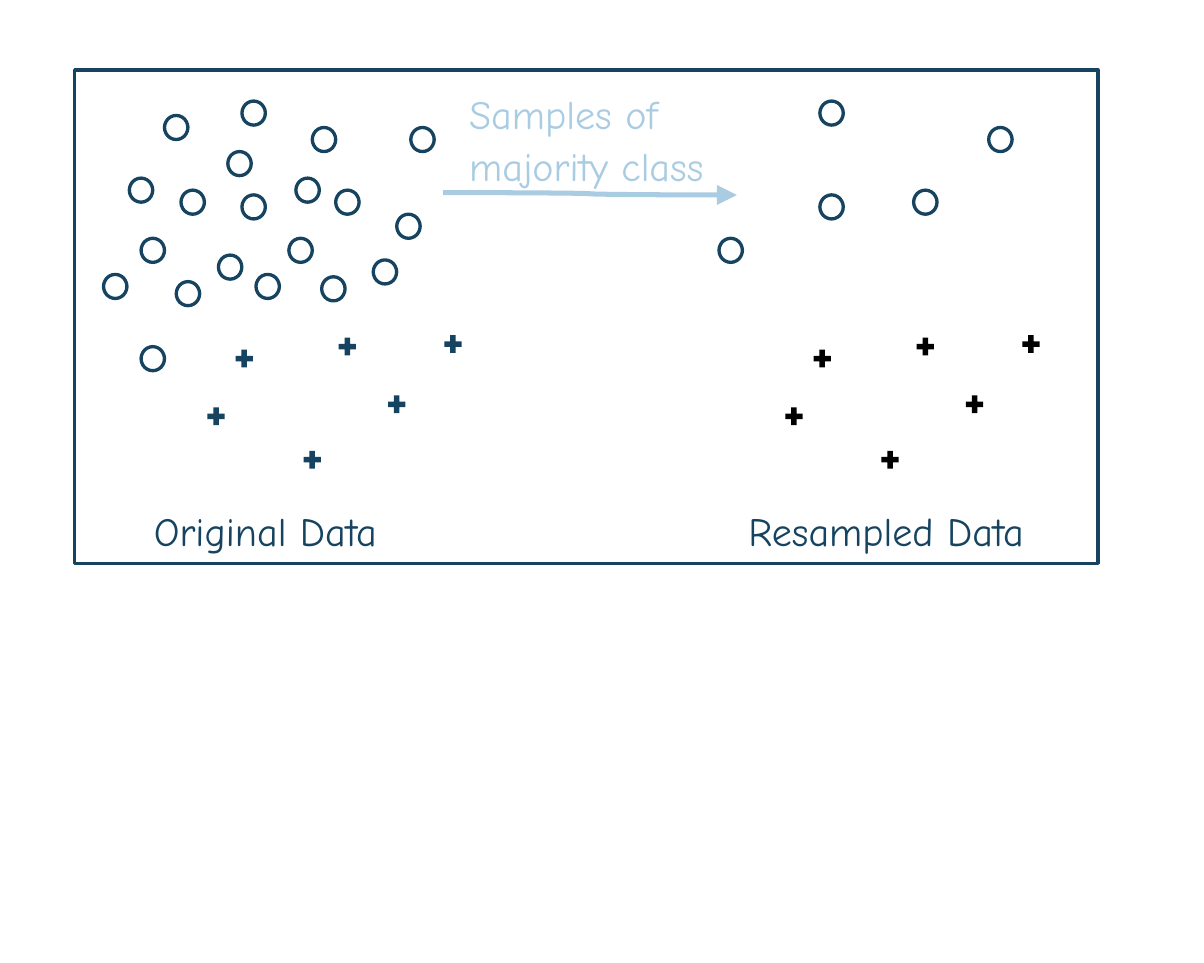
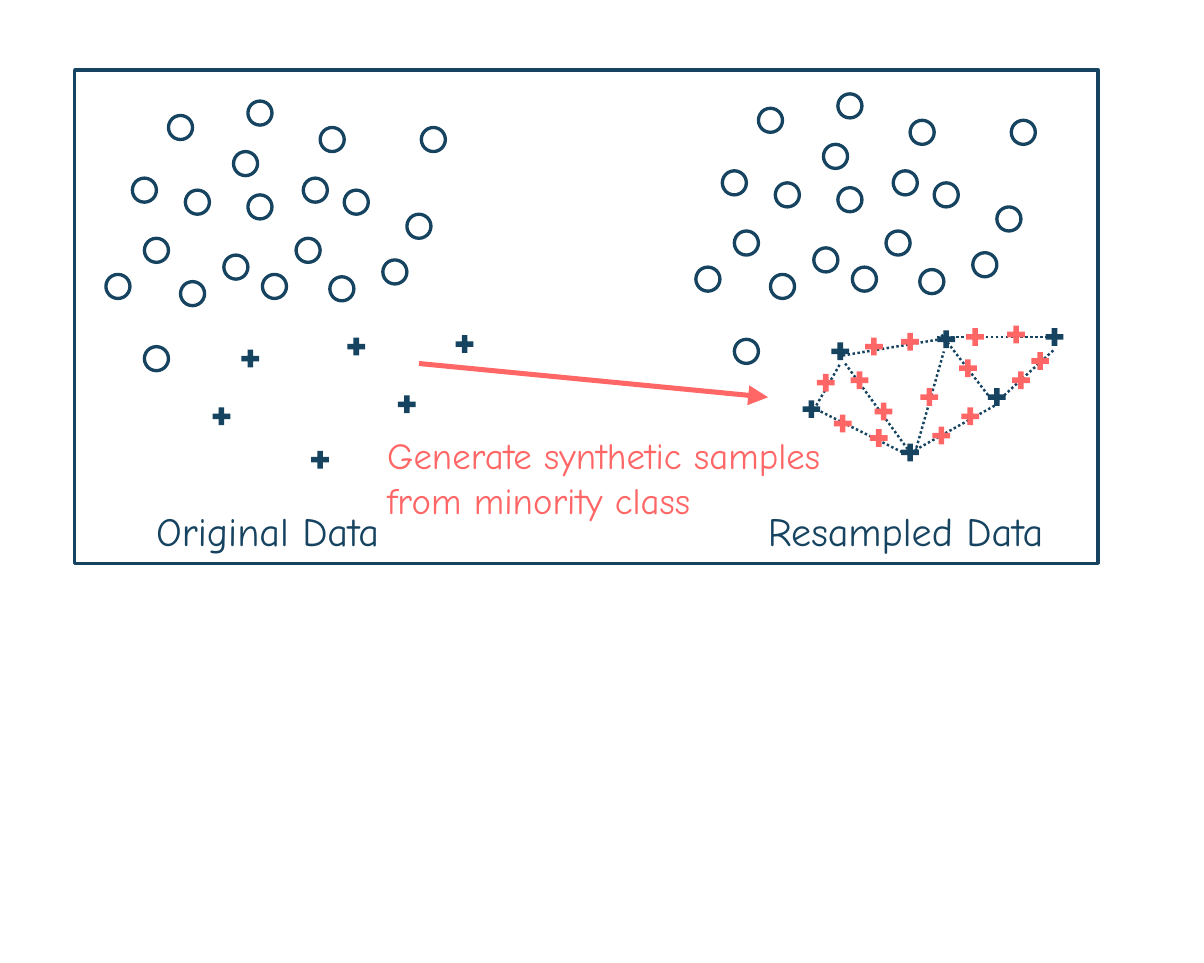
from dataclasses import dataclass

from lxml import etree
from pptx import Presentation, util as u
from pptx.dml.color import RGBColor
from pptx.enum import dml, shapes
from pptx.oxml.ns import qn


@dataclass(frozen=True)
class Theme:
    navy: str = "154360"
    sky: str = "A9CCE3"
    coral: str = "FF6666"
    black: str = "000000"
    font: str = "Comic Neue"
    label: float = 12
    note: float = 11
    lead: float = 1.07
    thin: float = 0.75
    edge: float = 1
    bold: float = 1.5


T = Theme()
GRID = 154
MARK = 10
FRAME = (0.31, 0.29, 4.25, 2.05)
RINGS = [
    (26, 6), (59, 0), (11, 32), (33, 37), (0, 72), (89, 11), (99, 37),
    (49, 64), (131, 11), (82, 32), (59, 39), (16, 57), (79, 57), (125, 47),
    (31, 75), (53, 21), (16, 102), (65, 72), (93, 73), (115, 66),
]
KEPT = [RINGS[i] for i in (1, 6, 8, 10, 11)]
PLUSES = [(55, 102), (43, 126), (120, 121), (144, 96), (84, 144), (99, 97)]
LINKS = [
    (48, 133, 60, 112), (50, 131, 86, 149), (91, 149, 103, 107),
    (59, 109, 101, 102), (102, 100, 122, 126), (62, 112, 89, 149),
    (125, 128, 149, 106), (100, 101, 146, 101), (91, 148, 125, 129),
]
ADDED = [
    (49, 115), (84, 98), (108, 109), (97, 137), (92, 121), (130, 114),
    (69, 100), (111, 96), (109, 129), (71, 138), (63, 114), (73, 127),
    (56, 132), (128, 95), (138, 106),
]


def rgb(tone):
    return RGBColor.from_string(tone)


def inches(vals):
    return [u.Inches(v) for v in vals]


def write(slide, words, box, tone=T.navy, size=T.label, lead=T.lead):
    frame = slide.shapes.add_textbox(*inches(box)).text_frame
    frame.word_wrap = True
    para = frame.paragraphs[0]
    para.line_spacing = lead
    run = para.add_run()
    run.text = words
    run.font.name = T.font
    run.font.size = u.Pt(size)
    run.font.color.rgb = rgb(tone)


def draw(slide, kind, box, fill=None, line=None):
    shape = slide.shapes.add_shape(kind, *inches(box))
    shape.shadow.inherit = False
    if fill:
        shape.fill.solid()
        shape.fill.fore_color.rgb = rgb(fill)
    else:
        shape.fill.background()
    if line:
        shape.line.color.rgb = rgb(line)
        shape.line.width = u.Pt(T.edge)
    else:
        shape.line.fill.background()


def join(slide, ends, tone, width, kind=shapes.MSO_CONNECTOR.STRAIGHT,
         dots=False, head=False):
    link = slide.shapes.add_connector(kind, *inches(ends))
    link.line.color.rgb = rgb(tone)
    link.line.width = u.Pt(width)
    if dots:
        link.line.dash_style = dml.MSO_LINE.ROUND_DOT
    if head:
        etree.SubElement(link.line._get_or_add_ln(), qn("a:tailEnd"),
                         type="triangle")
    etree.SubElement(link._element.spPr, qn("a:effectLst"))


def spot(box, col, row):
    left, top, wide, high = box
    return left + wide * col / GRID, top + high * row / GRID


def marks(slide, box, spots, kind, **look):
    size = (box[2] * MARK / GRID, box[3] * MARK / GRID)
    for col, row in spots:
        draw(slide, kind, spot(box, col, row) + size, **look)


def cloud(slide, box, rings, tone=T.navy):
    marks(slide, box, rings, shapes.MSO_SHAPE.OVAL, line=T.navy)
    marks(slide, box, PLUSES, shapes.MSO_SHAPE.MATH_PLUS, fill=tone)


def web(slide, box):
    for a, b, c, d in LINKS:
        join(slide, spot(box, a, b) + spot(box, c, d), T.navy, T.thin,
             dots=True)
    marks(slide, box, ADDED, shapes.MSO_SHAPE.MATH_PLUS, fill=T.coral)


def panel(slide, first, second):
    draw(slide, shapes.MSO_SHAPE.RECTANGLE, FRAME, line=T.navy)
    for words, left in (("Original Data", first), ("Resampled Data", second)):
        write(slide, words, (left, 2.04, 1.45, 0.27))


def under(slide):
    cloud(slide, (0.43, 0.42, 1.5, 1.54), RINGS)
    cloud(slide, (2.83, 0.42, 1.5, 1.54), KEPT, tone=T.black)
    join(slide, (1.84, 0.8, 3.06, 0.81), T.sky, T.bold,
         kind=shapes.MSO_CONNECTOR.CURVE, head=True)
    write(slide, "Samples of majority class", (1.85, 0.31, 1.31, 0.54),
          tone=T.sky)
    panel(slide, 0.54, 3.01)


def over(slide):
    right = (2.89, 0.39, 1.54, 1.54)
    cloud(slide, (0.44, 0.42, 1.54, 1.54), RINGS)
    cloud(slide, right, RINGS)
    write(slide, "Generate synthetic samples from minority class",
          (1.51, 1.75, 2.2, 0.45), tone=T.coral, size=T.note, lead=1.0)
    web(slide, right)
    panel(slide, 0.55, 3.09)
    join(slide, (1.74, 1.51, 3.19, 1.65), T.coral, T.bold, head=True)


def main():
    deck = Presentation()
    deck.slide_width, deck.slide_height = inches((5, 4))
    for build in (under, over):
        build(deck.slides.add_slide(deck.slide_layouts[6]))
    deck.save("out.pptx")


if __name__ == "__main__":
    main()
